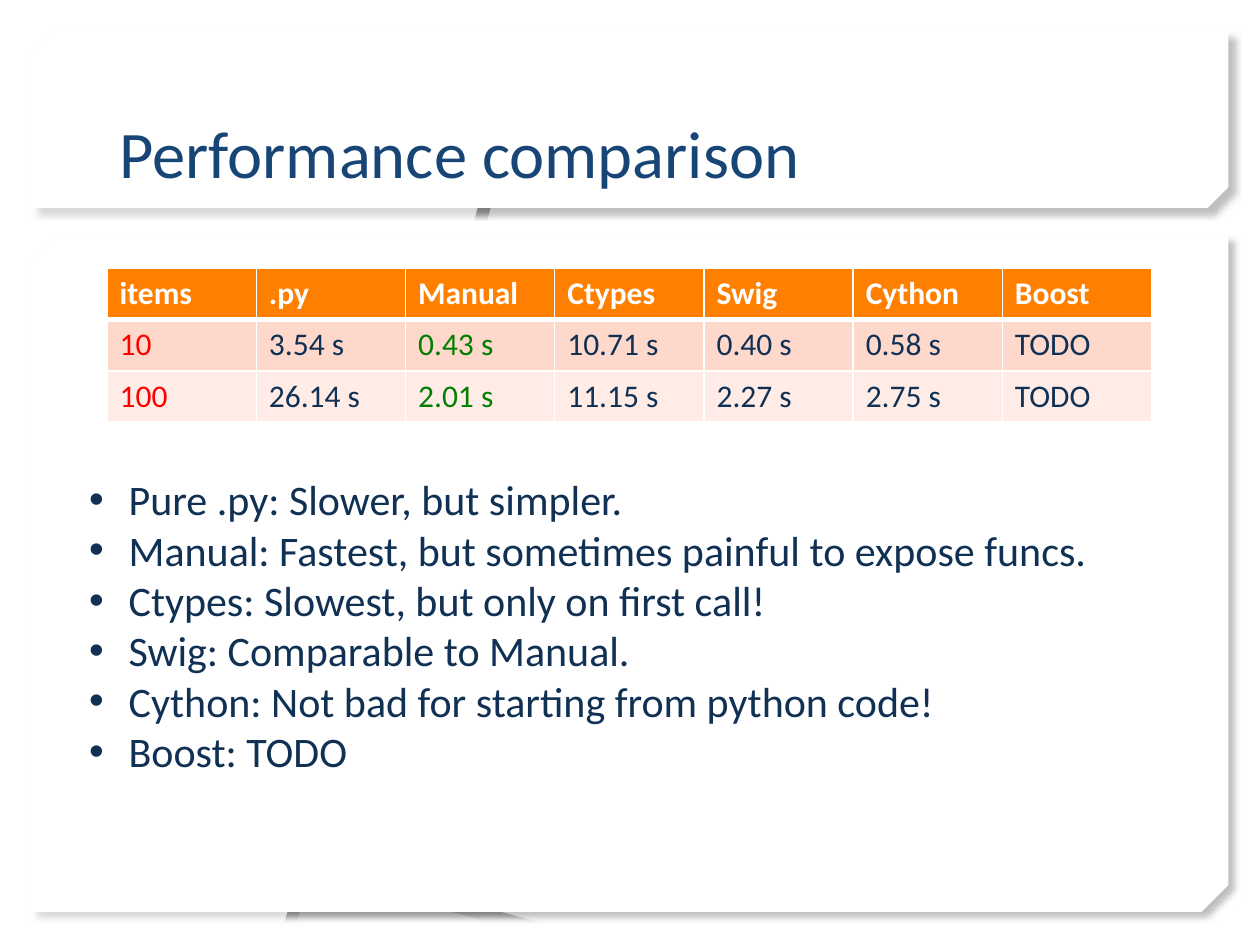
from dataclasses import dataclass

from lxml.etree import SubElement
from pptx import Presentation
from pptx.dml.color import RGBColor
from pptx.enum.shapes import MSO_SHAPE as Preset
from pptx.enum.text import MSO_ANCHOR as Anchor
from pptx.oxml.ns import qn
from pptx.util import Pt


@dataclass(frozen=True)
class Theme:
    font: str = "Calibri"
    title_size: int = 38
    body_size: int = 24
    table_size: int = 18
    white: str = "FFFFFF"
    black: str = "000000"
    title: str = "174576"
    body: str = "103154"
    header: str = "FF7F01"
    bands: tuple = ("FFD8CC", "FFECE7")
    items: str = "FF0000"
    manual: str = "008000"


THEME = Theme()

TITLE = "Performance comparison"
TIMINGS = [
    ["items", ".py", "Manual", "Ctypes", "Swig", "Cython", "Boost"],
    ["10", "3.54 s", "0.43 s", "10.71 s", "0.40 s", "0.58 s", "TODO"],
    ["100", "26.14 s", "2.01 s", "11.15 s", "2.27 s", "2.75 s", "TODO"],
]
REMARKS = [
    "Pure .py: Slower, but simpler.",
    "Manual: Fastest, but sometimes painful to expose funcs.",
    "Ctypes: Slowest, but only on first call!",
    "Swig: Comparable to Manual.",
    "Cython: Not bad for starting from python code!",
    "Boost: TODO",
]
COLUMN_COLORS = {0: THEME.items, 2: THEME.manual}

WIDTH, HEIGHT = 720, 540
MARGIN = 18
PANELS = [(134.6, 386.6, 0.04), (18, 100.8, 0.117)]
VEILS = [
    (70, [(0, 38.2), (268.6, 110.9), (272.6, 114), (272.9, 118.8), (159.1, HEIGHT), (0, HEIGHT)]),
    (35, [(0, 0), (304.6, 0), (277.9, 99.4), (275, 103), (270, 103.7), (0, 31)]),
    (20, [(180.7, 501.1), (183.6, 501.1), (327.6, HEIGHT), (166.3, HEIGHT), (175.7, 505.4), (177.5, 502.5)]),
    (50, [(312.5, 0), (WIDTH, 0), (WIDTH, HEIGHT), (356.4, HEIGHT), (185.8, 493.9), (182, 491), (181.4, 486)]),
]
TITLE_BOX = (61.2, 23, 596.9, 90)
TABLE_BOX = (61.2, 153.4, 596.9, 87.8)
REMARKS_BOX = (43.9, 267.1, 605.5, 203.8)
INDENT = 22.5


def points(*lengths):
    return [Pt(length) for length in lengths]


def paint(fill, color):
    fill.solid()
    fill.fore_color.rgb = RGBColor.from_string(color)


def write(paragraph, text, *, size, color, bold=False, bullet=None):
    run = paragraph.add_run()
    run.text = text
    run.font.name = THEME.font
    run.font.size = Pt(size)
    run.font.bold = bold
    run.font.color.rgb = RGBColor.from_string(color)
    if bullet:
        properties = paragraph._p.get_or_add_pPr()
        properties.set("marL", str(Pt(INDENT)))
        properties.set("indent", str(-Pt(INDENT)))
        SubElement(properties, qn("a:buFont"), typeface="Arial")
        SubElement(properties, qn("a:buChar"), char=bullet)


def add_text(slide, box, lines, anchor=Anchor.TOP, **style):
    frame = slide.shapes.add_textbox(*points(*box)).text_frame
    frame.word_wrap = True
    frame.vertical_anchor = anchor
    for index, line in enumerate(lines):
        paragraph = frame.add_paragraph() if index else frame.paragraphs[0]
        write(paragraph, line, **style)


def add_panel(slide, top, height, snip):
    box = points(MARGIN, top, WIDTH - 2 * MARGIN, height)
    shape = slide.shapes.add_shape(Preset.SNIP_2_DIAG_RECTANGLE, *box)
    shape.adjustments[0] = 0
    shape.adjustments[1] = snip
    paint(shape.fill, THEME.white)
    shape.line.fill.background()
    shape.shadow.inherit = False
    properties = shape._element.spPr
    properties.find(qn("a:xfrm")).set("flipV", "1")
    shadow = SubElement(
        properties.find(qn("a:effectLst")), qn("a:outerShdw"),
        blurRad=str(Pt(4)), dist=str(Pt(5)), dir=str(45 * 60000),
        algn="tl", rotWithShape="0",
    )
    color = SubElement(shadow, qn("a:srgbClr"), val=THEME.black)
    SubElement(color, qn("a:alpha"), val="50000")


def add_veil(slide, opacity, outline):
    start, *others = [points(*corner) for corner in outline]
    builder = slide.shapes.build_freeform(*start)
    builder.add_line_segments(others, close=True)
    shape = builder.convert_to_shape()
    paint(shape.fill, THEME.white)
    shape.line.fill.background()
    shape.shadow.inherit = False
    color = shape._element.spPr.find(qn("a:solidFill")).find(qn("a:srgbClr"))
    SubElement(color, qn("a:alpha"), val=str(opacity * 1000))


def add_borders(cell, top, bottom):
    properties = cell._tc.get_or_add_tcPr()
    for side, width in {"L": 1, "R": 1, "T": top, "B": bottom}.items():
        line = SubElement(properties, qn(f"a:ln{side}"), w=str(Pt(width)))
        fill = SubElement(line, qn("a:solidFill"))
        SubElement(fill, qn("a:srgbClr"), val=THEME.white)


def add_timings(slide):
    row_count, column_count = len(TIMINGS), len(TIMINGS[0])
    frame = slide.shapes.add_table(row_count, column_count, *points(*TABLE_BOX))
    table = frame.table
    for column in table.columns:
        column.width = Pt(TABLE_BOX[2] / column_count)
    for row in table.rows:
        row.height = Pt(TABLE_BOX[3] / row_count)
    for row, values in enumerate(TIMINGS):
        header = row == 0
        for column, value in enumerate(values):
            cell = table.cell(row, column)
            add_borders(cell, top=3 if row == 1 else 1, bottom=3 if header else 1)
            paint(cell.fill, THEME.header if header else THEME.bands[row - 1])
            color = THEME.white if header else COLUMN_COLORS.get(column, THEME.body)
            write(cell.text_frame.paragraphs[0], value,
                  size=THEME.table_size, color=color, bold=header)


def main():
    presentation = Presentation()
    presentation.slide_width, presentation.slide_height = points(WIDTH, HEIGHT)
    slide = presentation.slides.add_slide(presentation.slide_layouts[6])
    paint(slide.background.fill, THEME.white)
    for panel in PANELS:
        add_panel(slide, *panel)
    for veil in VEILS:
        add_veil(slide, *veil)
    add_text(slide, TITLE_BOX, [TITLE], anchor=Anchor.BOTTOM,
             size=THEME.title_size, color=THEME.title)
    add_timings(slide)
    add_text(slide, REMARKS_BOX, REMARKS,
             size=THEME.body_size, color=THEME.body, bullet="•")
    presentation.save("out.pptx")


if __name__ == "__main__":
    main()
